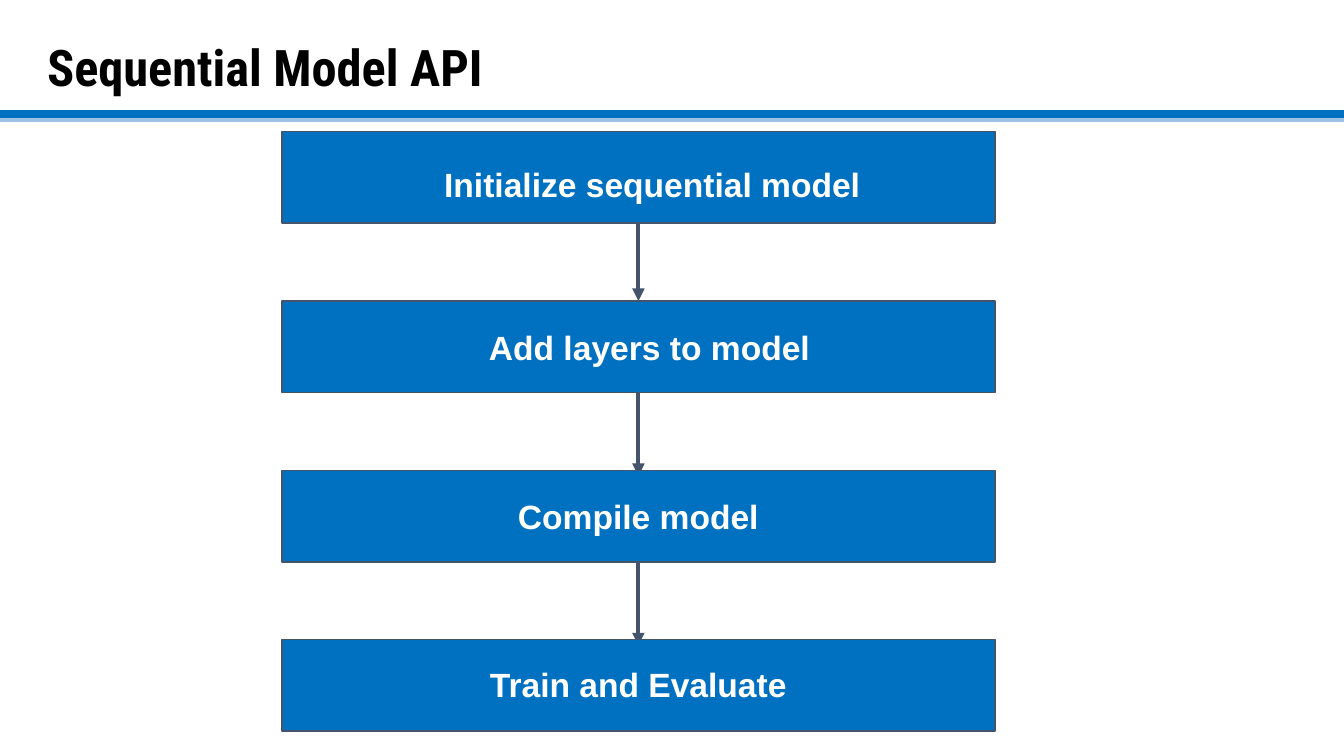
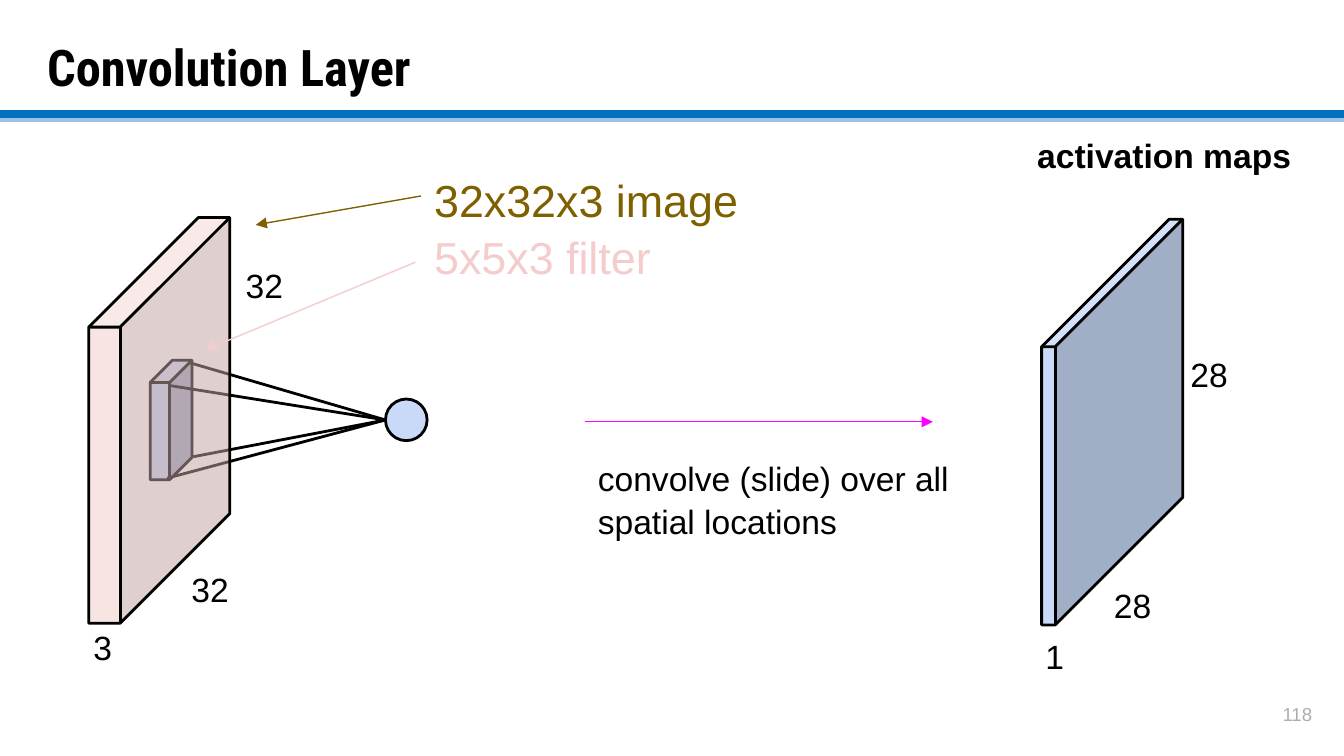
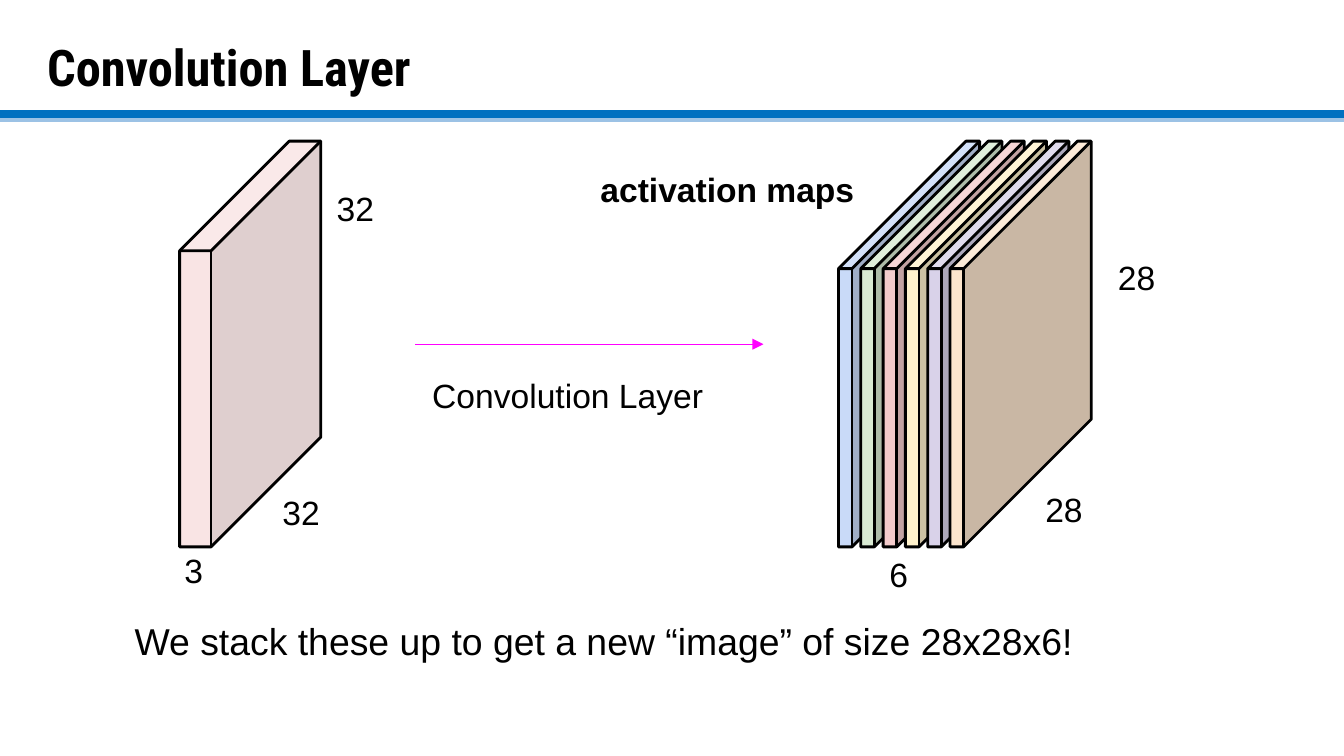
from lxml.etree import SubElement
from pptx import Presentation
from pptx.dml.color import RGBColor
from pptx.enum.shapes import MSO_CONNECTOR, MSO_SHAPE
from pptx.enum.text import MSO_ANCHOR, PP_ALIGN
from pptx.oxml.ns import qn
from pptx.util import Pt

WIDTH, HEIGHT = 720, 405
BLACK, WHITE = "000000", "FFFFFF"
BLUE, PALE_BLUE, SLATE = "0070C0", "9CC2E5", "44546A"
MAGENTA, BROWN, GREY = "FF00FF", "7F6000", "ADADAD"
PINK, MAP_BLUE = "F4CCCC", "C9DAF8"
MAP_COLORS = [MAP_BLUE, "D9EAD3", PINK, "FFF2CC", "D9D2E9", "FCE5CD"]
CUBE_SIZE = (75.6, 217.4)
INPUT_DEPTH, MAP_DEPTH = 0.777, 0.904


def rgb(color):
    return RGBColor.from_string(color)


def add_text(slide, box, lines, size=18, color=BLACK, bold=False, font="Arial",
             align=PP_ALIGN.LEFT, anchor=MSO_ANCHOR.TOP, inset=7.2, spacing=None):
    frame = slide.shapes.add_textbox(*map(Pt, box)).text_frame
    frame.word_wrap = True
    frame.vertical_anchor = anchor
    frame.margin_left = frame.margin_right = Pt(inset)
    frame.margin_top = frame.margin_bottom = Pt(inset)
    colored = [(lines, color)] if isinstance(lines, str) else lines
    for index, (text, line_color) in enumerate(colored):
        paragraph = frame.add_paragraph() if index else frame.paragraphs[0]
        paragraph.text = text
        paragraph.alignment = align
        if spacing:
            paragraph.line_spacing = spacing
        paragraph.font.name = font
        paragraph.font.size = Pt(size)
        paragraph.font.bold = bold
        paragraph.font.color.rgb = rgb(line_color)


def add_line(slide, start, end, color=BLACK, width=1.5, arrow=False):
    line = slide.shapes.add_connector(
        MSO_CONNECTOR.STRAIGHT, *map(Pt, (*start, *end)))
    line.line.color.rgb = rgb(color)
    line.line.width = Pt(width)
    if arrow:
        SubElement(line.line._get_or_add_ln(), qn("a:tailEnd"), type="triangle")
    SubElement(line._element.spPr, qn("a:effectLst"))


def add_solid(slide, kind, box, fill, line=BLACK, width=1.5, depth=None, opacity=None):
    shape = slide.shapes.add_shape(kind, *map(Pt, box))
    shape.shadow.inherit = False
    shape.fill.solid()
    shape.fill.fore_color.rgb = rgb(fill)
    shape.line.color.rgb = rgb(line)
    shape.line.width = Pt(width)
    if depth is not None:
        shape.adjustments[0] = depth
    if opacity is not None:
        color = shape._element.spPr.find(f"{qn('a:solidFill')}/{qn('a:srgbClr')}")
        SubElement(color, qn("a:alpha"), val=str(opacity * 1000))


def add_titled_slide(presentation, title):
    slide = presentation.slides.add_slide(presentation.slide_layouts[6])
    add_line(slide, (-0.75, 64), (WIDTH, 64), PALE_BLUE, 2.25)
    add_line(slide, (-0.75, 61.2), (WIDTH, 61.2), BLUE, 4.5)
    add_text(slide, (20, 11, 671, 49), title, 27, bold=True,
             font="Roboto Condensed", anchor=MSO_ANCHOR.MIDDLE, inset=5.2)
    return slide


def add_flow(slide, left, top, width, height, pitch, steps):
    center = left + width / 2
    for index, (text, shift, drop, text_width, overlap) in enumerate(steps):
        step_top = top + index * pitch
        if index:
            add_line(slide, (center, step_top - pitch + height),
                     (center, step_top + overlap), SLATE, 2.25, arrow=True)
        add_solid(slide, MSO_SHAPE.RECTANGLE, (left, step_top, width, height),
                  BLUE, SLATE, 0.75)
        add_text(slide, (center + shift - text_width / 2, step_top + drop, text_width, 31),
                 text, color=WHITE, bold=True, align=PP_ALIGN.CENTER)


def add_labels(slide, left, top, labels):
    for text, x, y in labels:
        add_text(slide, (left + x, top + y, 39, 24), text)


def add_input_volume(slide, left, top):
    add_solid(slide, MSO_SHAPE.CUBE, (left, top, *CUBE_SIZE), PINK,
              depth=INPUT_DEPTH, opacity=52)
    add_labels(slide, left, top, [("32", 48, 181), ("32", 77, 18), ("3", -4.5, 212)])


def add_neuron(slide, left, top):
    add_solid(slide, MSO_SHAPE.CUBE, (left + 33, top + 76.5, 22.3, 64), MAP_BLUE, depth=0.534)
    add_solid(slide, MSO_SHAPE.OVAL, (left + 159, top + 97.3, 22.3, 22.3), MAP_BLUE)
    for x, y in [(42, 139.7), (43, 90), (54, 77.8), (56, 128.2)]:
        add_line(slide, (left + x, top + y), (left + 159, top + 108.5))


def add_activation_maps(slide, left, top, colors, labels):
    for index, color in enumerate(colors):
        add_solid(slide, MSO_SHAPE.CUBE, (left + index * 11.95, top, *CUBE_SIZE),
                  color, depth=MAP_DEPTH)
    add_labels(slide, left, top, labels)


def add_operation(slide, left, top, text, text_box):
    x, y, width, height = text_box
    add_line(slide, (left, top), (left + 186.5, top), MAGENTA, 0.75, arrow=True)
    add_text(slide, (left + x, top + y, width, height), text, spacing=1.06)


def build_api_slide(presentation):
    slide = add_titled_slide(presentation, "Sequential Model API")
    add_flow(slide, 151, 70.5, 382, 49, 90.75, [
        ("Initialize sequential model", 7.5, 10, 257, 0),
        ("Add layers to model", 6, 6.5, 221, 0),
        ("Compile model", 0, 6.5, 221, 3),
        ("Train and Evaluate", 0, 6, 221, 3),
    ])


def build_filter_slide(presentation):
    slide = add_titled_slide(presentation, "Convolution Layer")
    add_text(slide, (667, 367, 43, 31), "118", 10, GREY,
             align=PP_ALIGN.RIGHT, anchor=MSO_ANCHOR.MIDDLE)
    add_neuron(slide, 47.5, 116.5)
    add_input_volume(slide, 47.5, 116.5)
    add_text(slide, (225.5, 83.5, 287, 43),
             [("32x32x3 image", BROWN), ("5x5x3 filter", PINK)], 24, spacing=1.06)
    add_line(slide, (225.5, 105), (137, 120.5), BROWN, 0.75, arrow=True)
    add_line(slide, (222.5, 140.5), (110, 187.5), PINK, 0.75, arrow=True)
    add_operation(slide, 313.2, 226, "convolve (slide) over all spatial locations",
                  (0, 11, 248, 64))
    add_activation_maps(slide, 558, 117.4, [MAP_BLUE],
                        [("1", -5, 216), ("28", 31.7, 188.6), ("28", 72.7, 64.8)])
    add_text(slide, (548.6, 65, 153, 42), "activation maps", bold=True)


def build_stack_slide(presentation):
    slide = add_titled_slide(presentation, "Convolution Layer")
    add_input_volume(slide, 96.25, 75.6)
    add_operation(slide, 222.5, 184.4, "Convolution Layer", (2, 8, 258, 35))
    add_activation_maps(slide, 449.2, 75.6, MAP_COLORS,
                        [("6", 20.2, 213.8), ("28", 103.7, 179.3), ("28", 142.6, 54.7)])
    add_text(slide, (314.6, 83.5, 163, 42), "activation maps", bold=True)
    add_text(slide, (65, 324, 679, 22),
             "We stack these up to get a new “image” of size 28x28x6!", 20)


def main():
    presentation = Presentation()
    presentation.slide_width, presentation.slide_height = Pt(WIDTH), Pt(HEIGHT)
    build_api_slide(presentation)
    build_filter_slide(presentation)
    build_stack_slide(presentation)
    presentation.save("out.pptx")


if __name__ == "__main__":
    main()
